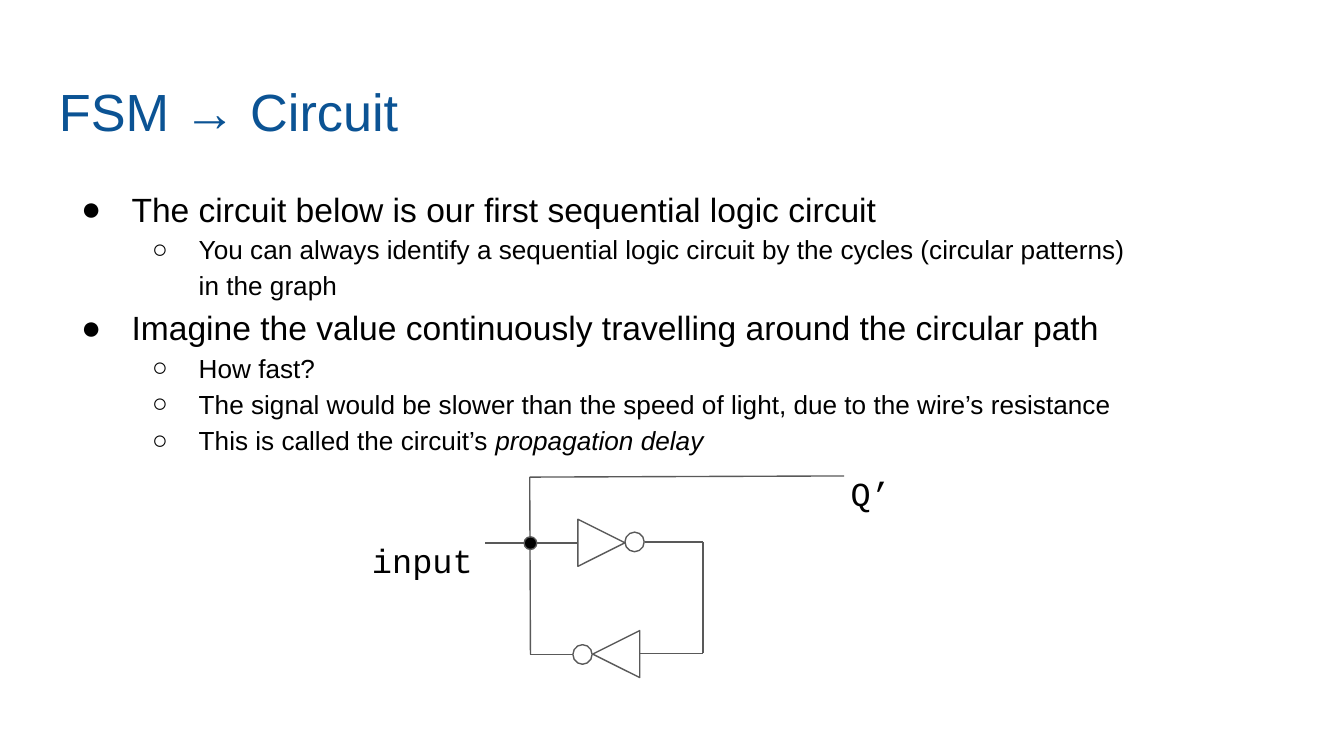
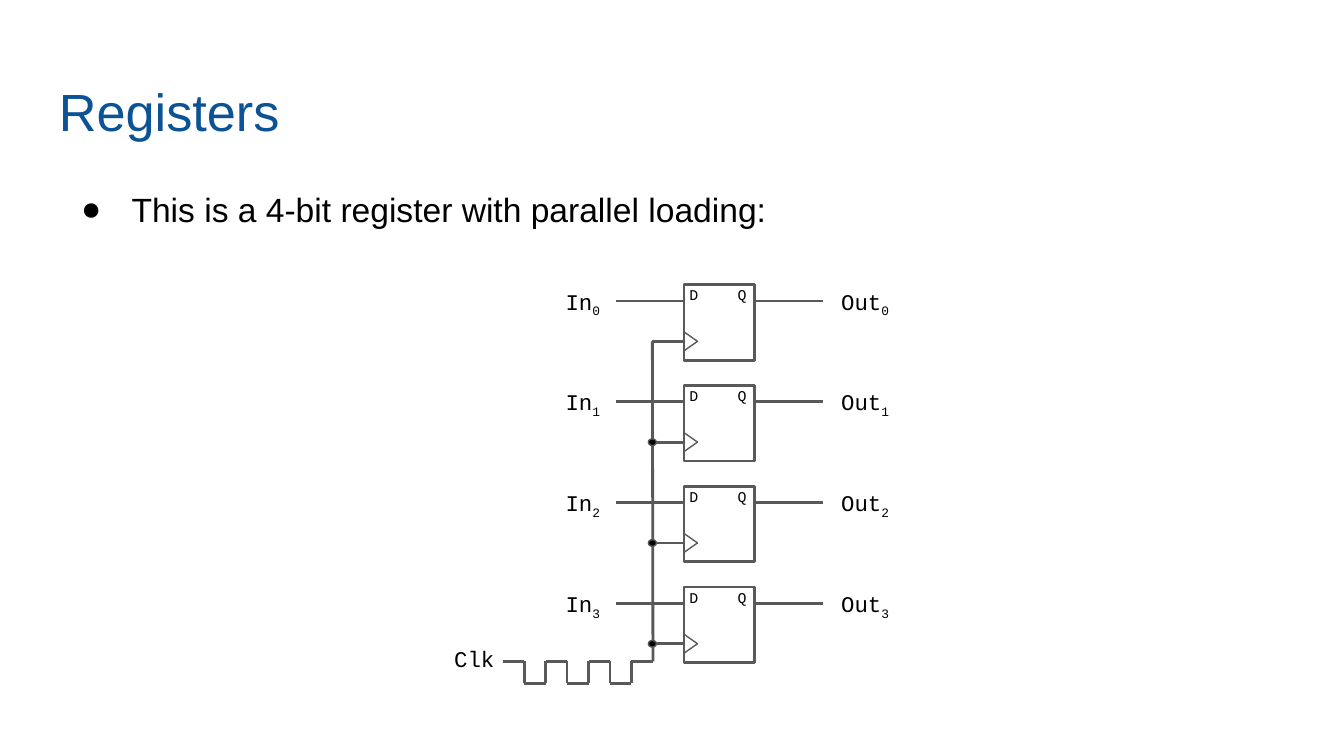
from dataclasses import dataclass
from itertools import pairwise
from typing import NamedTuple

from lxml import etree
from pptx import Presentation
from pptx.dml.color import RGBColor
from pptx.enum.shapes import MSO_CONNECTOR, MSO_SHAPE
from pptx.enum.text import MSO_ANCHOR
from pptx.oxml.ns import qn
from pptx.shapes.autoshape import Shape
from pptx.slide import Slide
from pptx.text.text import TextFrame, _Paragraph
from pptx.util import Pt

BLUE = RGBColor(0x0B, 0x53, 0x94)
BLACK = RGBColor(0, 0, 0)
WHITE = RGBColor(0xFF, 0xFF, 0xFF)
GRAY = RGBColor(0x59, 0x59, 0x59)

STRAIGHT = MSO_CONNECTOR.STRAIGHT
TRIANGLE = MSO_SHAPE.ISOSCELES_TRIANGLE
ELLIPSE = MSO_SHAPE.OVAL
RECTANGLE = MSO_SHAPE.RECTANGLE
TOP = MSO_ANCHOR.TOP
MIDDLE = MSO_ANCHOR.MIDDLE

SANS = "Arial"
MONO = "Courier New"
INSET = 7.2
THIN, THICK = 0.75, 1.5


class Box(NamedTuple):
    left: float
    top: float
    width: float
    height: float


class Point(NamedTuple):
    x: float
    y: float


@dataclass(frozen=True)
class Level:
    size: float
    margin: float
    indent: float
    mark: str


@dataclass(frozen=True)
class Bullet:
    text: str
    depth: int = 0
    emphasis: str = ""


@dataclass(frozen=True)
class Inverter:
    triangle: Box
    bubble: Box
    rotation: float


TITLE_BOX = Box(24.5, 35.3, 671, 45.4)
LEVELS = (Level(18, 36, -27, "●"), Level(14, 72, -25, "○"))

FSM_BULLETS = (
    Bullet("The circuit below is our first sequential logic circuit"),
    Bullet("You can always identify a sequential logic circuit by the cycles "
           "(circular patterns) in the graph", 1),
    Bullet("Imagine the value continuously travelling around the circular path"),
    Bullet("How fast?", 1),
    Bullet("The signal would be slower than the speed of light, "
           "due to the wire’s resistance", 1),
    Bullet("This is called the circuit’s ", 1, "propagation delay"),
)
INVERTERS = (
    Inverter(Box(309.6, 278.2, 25.2, 25.2), Box(334.8, 285.1, 10.3, 10.5), 90),
    Inverter(Box(317.5, 337.8, 25.2, 25.2), Box(306.9, 345.4, 10.3, 10.5), 270),
)
FSM_WIRES = (
    (Point(260, 290.9), Point(309.6, 290.9)),
    (Point(345.6, 290.3), Point(376.7, 290.3),
     Point(376.7, 350), Point(342.7, 350)),
    (Point(306.9, 350.6), Point(284.2, 350.6),
     Point(283.8, 255.6), Point(452.2, 255)),
)

REGISTER_BITS = 4
REGISTER_TOP, REGISTER_PITCH = 152.5, 54
CLOCK_X = 349.5
WAVE_LEFT, WAVE_STEP, WAVE_HALVES = 269.3, 11.5, 7
WAVE_HIGH, WAVE_LOW = 354.3, 366


def add_span(para: _Paragraph, text: str, *, font: str = SANS, size: float = 18,
             color: RGBColor = BLACK, italic: bool = False,
             subscript: bool = False) -> None:
    span = para.add_run()
    span.text = text
    span.font.name = font
    span.font.size = Pt(size)
    span.font.color.rgb = color
    if italic:
        span.font.italic = True
    if subscript:
        span._r.get_or_add_rPr().set("baseline", "-25000")


def add_frame(page: Slide, box: Box, anchor: MSO_ANCHOR = TOP) -> TextFrame:
    frame = page.shapes.add_textbox(*map(Pt, box)).text_frame
    frame.word_wrap = True
    frame.vertical_anchor = anchor
    frame.margin_left = frame.margin_right = Pt(INSET)
    frame.margin_top = frame.margin_bottom = Pt(INSET)
    return frame


def add_text(page: Slide, box: Box, text: str, *, index: str = "",
             **style) -> None:
    """Write one line, with an optional subscript index after it."""
    para = add_frame(page, box).paragraphs[0]
    add_span(para, text, **style)
    if index:
        add_span(para, index, subscript=True, **style)


def add_signal_name(page: Slide, box: Box, text: str) -> None:
    para = add_frame(page, box, MIDDLE).paragraphs[0]
    para.line_spacing = 1.15
    para.space_after = Pt(16)
    para._p.get_or_add_pPr().set("indent", str(Pt(36)))
    add_span(para, text, font=MONO)


def set_bullet(para: _Paragraph, level: Level) -> None:
    properties = para._p.get_or_add_pPr()
    properties.set("marL", str(Pt(level.margin)))
    properties.set("indent", str(Pt(level.indent)))
    color = etree.SubElement(properties, qn("a:buClr"))
    etree.SubElement(color, qn("a:srgbClr"), val=str(BLACK))
    etree.SubElement(properties, qn("a:buFont"), typeface=SANS)
    etree.SubElement(properties, qn("a:buChar"), char=level.mark)


def add_bullets(page: Slide, box: Box, bullets: tuple[Bullet, ...]) -> None:
    frame = add_frame(page, box)
    for number, bullet in enumerate(bullets):
        para = frame.add_paragraph() if number else frame.paragraphs[0]
        level = LEVELS[bullet.depth]
        para.level = bullet.depth
        para.line_spacing = 1.15
        set_bullet(para, level)
        add_span(para, bullet.text, size=level.size)
        if bullet.emphasis:
            add_span(para, bullet.emphasis, size=level.size, italic=True)


def add_part(page: Slide, kind: MSO_SHAPE, box: Box, *,
             fill: RGBColor | None = WHITE, weight: float = THIN,
             rotation: float = 0) -> Shape:
    part = page.shapes.add_shape(kind, *map(Pt, box))
    part.shadow.inherit = False
    part.rotation = rotation
    if fill is None:
        part.fill.background()
    else:
        part.fill.solid()
        part.fill.fore_color.rgb = fill
    part.line.color.rgb = GRAY
    part.line.width = Pt(weight)
    return part


def add_junction(page: Slide, center: Point, width: float, height: float) -> None:
    box = Box(center.x - width / 2, center.y - height / 2, width, height)
    add_part(page, ELLIPSE, box, fill=BLACK)


def add_wire(page: Slide, *points: Point, weight: float = THICK) -> None:
    """Join successive points with straight connectors."""
    for start, end in pairwise(points):
        wire = page.shapes.add_connector(STRAIGHT, *map(Pt, (*start, *end)))
        wire.line.color.rgb = GRAY
        wire.line.width = Pt(weight)
        etree.SubElement(wire._element.spPr, qn("a:effectLst"))


def add_page(deck: Presentation, title: str) -> Slide:
    page = deck.slides.add_slide(deck.slide_layouts[6])
    add_text(page, TITLE_BOX, title, size=28, color=BLUE)
    return page


def add_flip_flop(page: Slide, bit: int) -> None:
    """Draw one register bit with its pins, labels and clock input."""
    top = REGISTER_TOP + bit * REGISTER_PITCH
    data_y, clock_y = top + 8.8, top + 30.4
    add_part(page, TRIANGLE, Box(365, top + 26.8, 10.1, 7.2), rotation=90)
    add_part(page, RECTANGLE, Box(366.5, top, 37.6, 40.5), fill=None, weight=THICK)
    for left, pin in ((362.2, "D"), (388.1, "Q")):
        add_text(page, Box(left, top - 4.2, 19.5, 26.6), pin, font=MONO, size=8)
    for left, width, name in ((295.9, 34.8, "In"), (443.5, 43.9, "Out")):
        add_text(page, Box(left, top - 5.6, width, 36.7), name, index=str(bit),
                 font=MONO, size=12)
    for left, right, y in ((329.8, 366.5, data_y), (404.1, 440.8, data_y),
                           (CLOCK_X, 366.5, clock_y)):
        add_wire(page, Point(left, y), Point(right, y))
    if bit:
        add_junction(page, Point(CLOCK_X, clock_y), 4.3, 3.6)


def add_clock(page: Slide) -> None:
    """Draw the square wave and the line that carries it to every bit."""
    wave = []
    for half in range(WAVE_HALVES):
        left = WAVE_LEFT + half * WAVE_STEP
        y = WAVE_LOW if half % 2 else WAVE_HIGH
        wave += [Point(left, y), Point(left + WAVE_STEP, y)]
    wave.append(Point(CLOCK_X, REGISTER_TOP + 30.4))
    add_wire(page, *wave)
    add_text(page, Box(236.2, 338.4, 37.6, 36.7), "Clk", font=MONO, size=12)


def build_fsm_page(deck: Presentation) -> None:
    page = add_page(deck, "FSM → Circuit")
    add_bullets(page, Box(27.4, 90.7, 595.4, 92.9), FSM_BULLETS)
    for inverter in INVERTERS:
        add_part(page, TRIANGLE, inverter.triangle, rotation=inverter.rotation)
        add_part(page, ELLIPSE, inverter.bubble)
    for points in FSM_WIRES:
        add_wire(page, *points, weight=THIN)
    add_junction(page, Point(284.2, 291), 6.8, 6.8)
    add_signal_name(page, Box(156.2, 280.1, 106.6, 36.7), "input")
    add_signal_name(page, Box(412.6, 239.8, 117.4, 45.4), "Q’")


def build_register_page(deck: Presentation) -> None:
    page = add_page(deck, "Registers")
    add_bullets(page, Box(27.4, 90.7, 625.7, 92.9),
                (Bullet("This is a 4-bit register with parallel loading:"),))
    add_clock(page)
    for bit in range(REGISTER_BITS):
        add_flip_flop(page, bit)


def main() -> None:
    deck = Presentation()
    deck.slide_width, deck.slide_height = Pt(720), Pt(405)
    build_fsm_page(deck)
    build_register_page(deck)
    deck.save("out.pptx")


if __name__ == "__main__":
    main()
